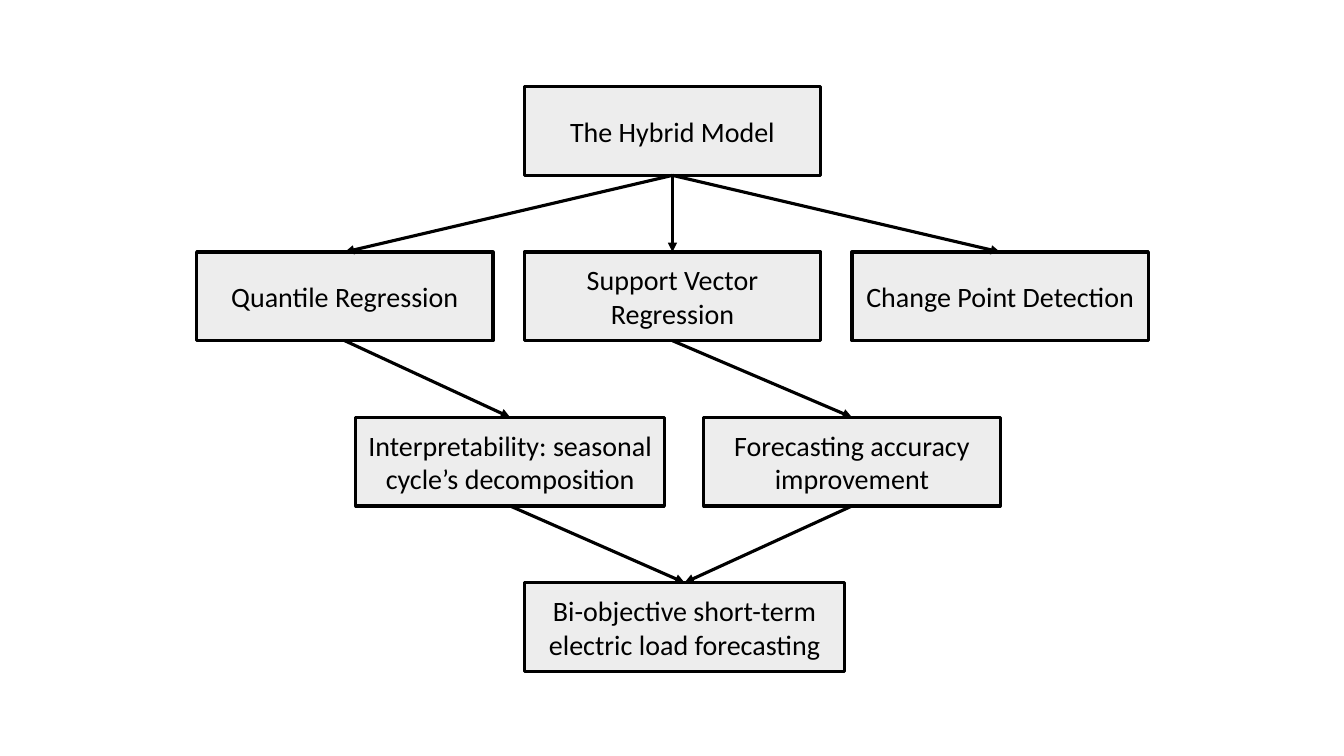
from lxml.etree import SubElement
from pptx import Presentation
from pptx.dml.color import RGBColor
from pptx.enum.shapes import MSO_CONNECTOR, MSO_SHAPE
from pptx.enum.text import MSO_ANCHOR, PP_ALIGN
from pptx.oxml.ns import qn
from pptx.util import Inches, Pt

BLACK, GREY = "000000", "EDEDED"
TOP, ROW_PITCH, BOX_HEIGHT = 0.86, 1.64, 0.88
BOX_WIDTH = 2.94
LEFT, MIDDLE, RIGHT = (1.95 + 3.25 * i for i in range(3))
BOTTOM_SIDE, TOP_SIDE = 2, 0

# key: (row, left, width, text)
BOXES = {
    "model": (0, MIDDLE, BOX_WIDTH, "The Hybrid Model"),
    "quantile": (1, LEFT, BOX_WIDTH, "Quantile Regression"),
    "vector": (1, MIDDLE, BOX_WIDTH, "Support Vector Regression"),
    "change": (1, RIGHT, BOX_WIDTH, "Change Point Detection"),
    "interpret": (2, 3.53, 3.06, "Interpretability: seasonal cycle’s decomposition"),
    "accuracy": (2, 6.98, BOX_WIDTH, "Forecasting accuracy improvement"),
    "forecast": (3, MIDDLE, 3.18, "Bi-objective short-term electric load forecasting"),
}

ARROWS = [
    ("model", "vector"),
    ("model", "quantile"),
    ("model", "change"),
    ("quantile", "interpret"),
    ("vector", "accuracy"),
    ("interpret", "forecast"),
    ("accuracy", "forecast"),
]


def rgb(color):
    return RGBColor.from_string(color)


def set_line(line):
    line.color.rgb = rgb(BLACK)
    line.width = Pt(2.25)


def add_box(slide, row, left, width, text):
    sp = slide.shapes.add_shape(
        MSO_SHAPE.RECTANGLE, Inches(left), Inches(TOP + row * ROW_PITCH),
        Inches(width), Inches(BOX_HEIGHT))
    sp.shadow.inherit = False
    sp.fill.solid()
    sp.fill.fore_color.rgb = rgb(GREY)
    set_line(sp.line)
    tf = sp.text_frame
    tf.word_wrap = True
    tf.vertical_anchor = MSO_ANCHOR.MIDDLE
    tf.text = text
    p = tf.paragraphs[0]
    p.alignment = PP_ALIGN.CENTER
    font = p.runs[0].font
    font.name, font.size = "Calibri", Pt(20)
    font.color.rgb = rgb(BLACK)
    return sp


def add_arrow(slide, upper, lower):
    """Join the bottom of the upper box to the top of the lower one."""
    cxn = slide.shapes.add_connector(MSO_CONNECTOR.STRAIGHT, 0, 0, 0, 0)
    cxn.begin_connect(upper, BOTTOM_SIDE)
    cxn.end_connect(lower, TOP_SIDE)
    set_line(cxn.line)
    SubElement(cxn.line._get_or_add_ln(), qn("a:tailEnd"), type="triangle")
    SubElement(cxn._element.spPr, qn("a:effectLst"))


def main():
    prs = Presentation()
    prs.slide_width, prs.slide_height = Inches(13.33), Inches(7.5)
    slide = prs.slides.add_slide(prs.slide_layouts[6])
    boxes = {key: add_box(slide, *box) for key, box in BOXES.items()}
    for upper, lower in ARROWS:
        add_arrow(slide, boxes[upper], boxes[lower])
    prs.save("out.pptx")


if __name__ == "__main__":
    main()
